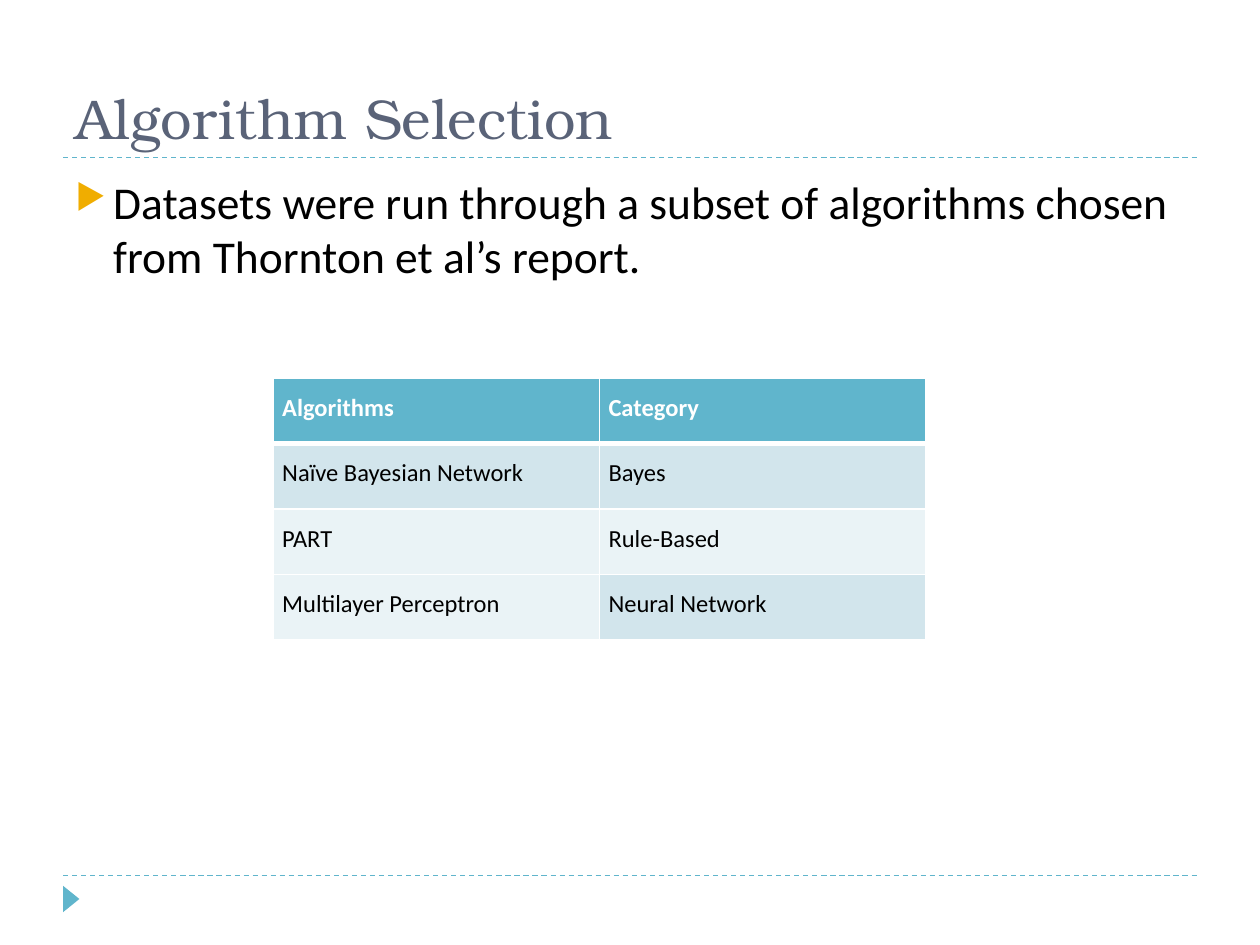
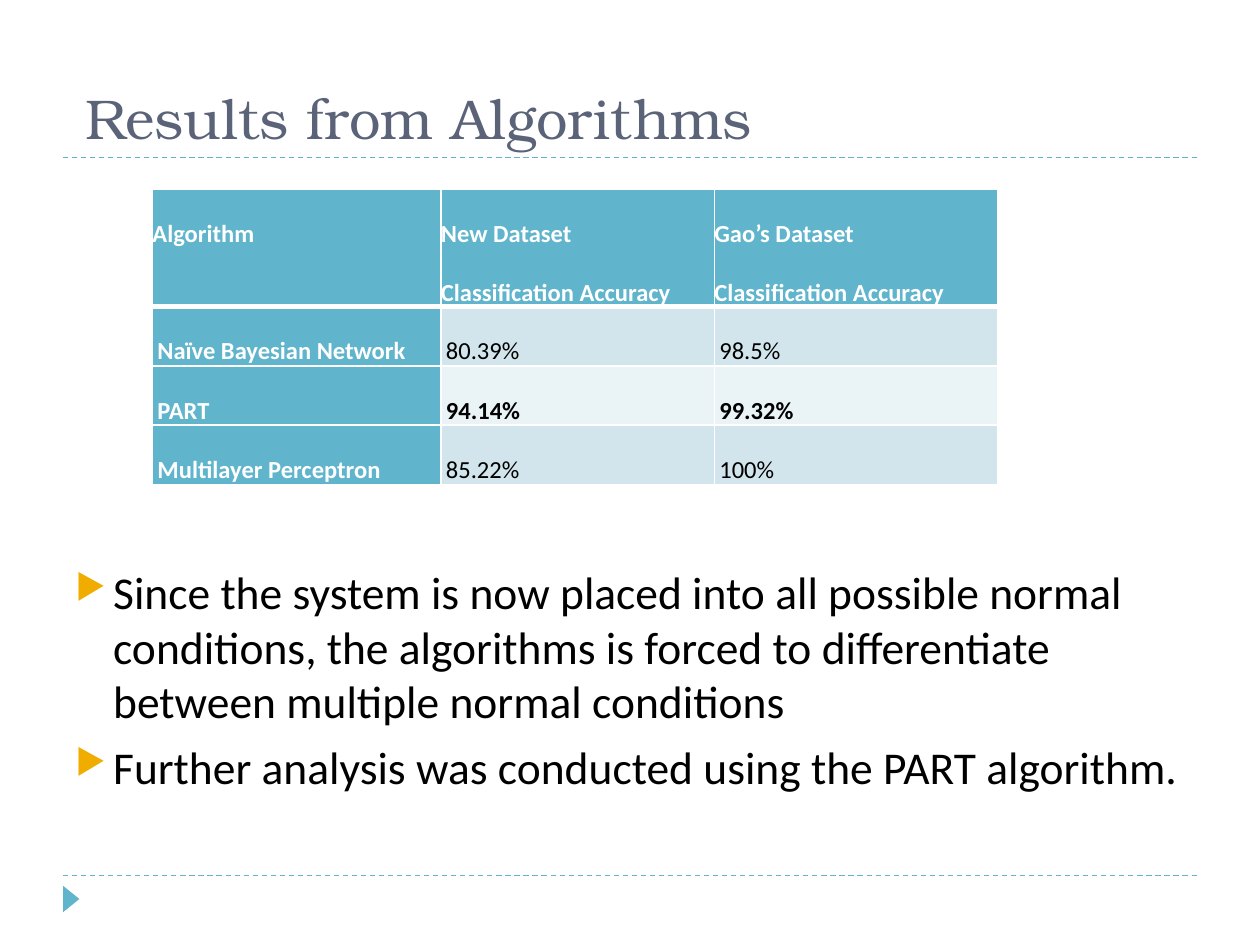
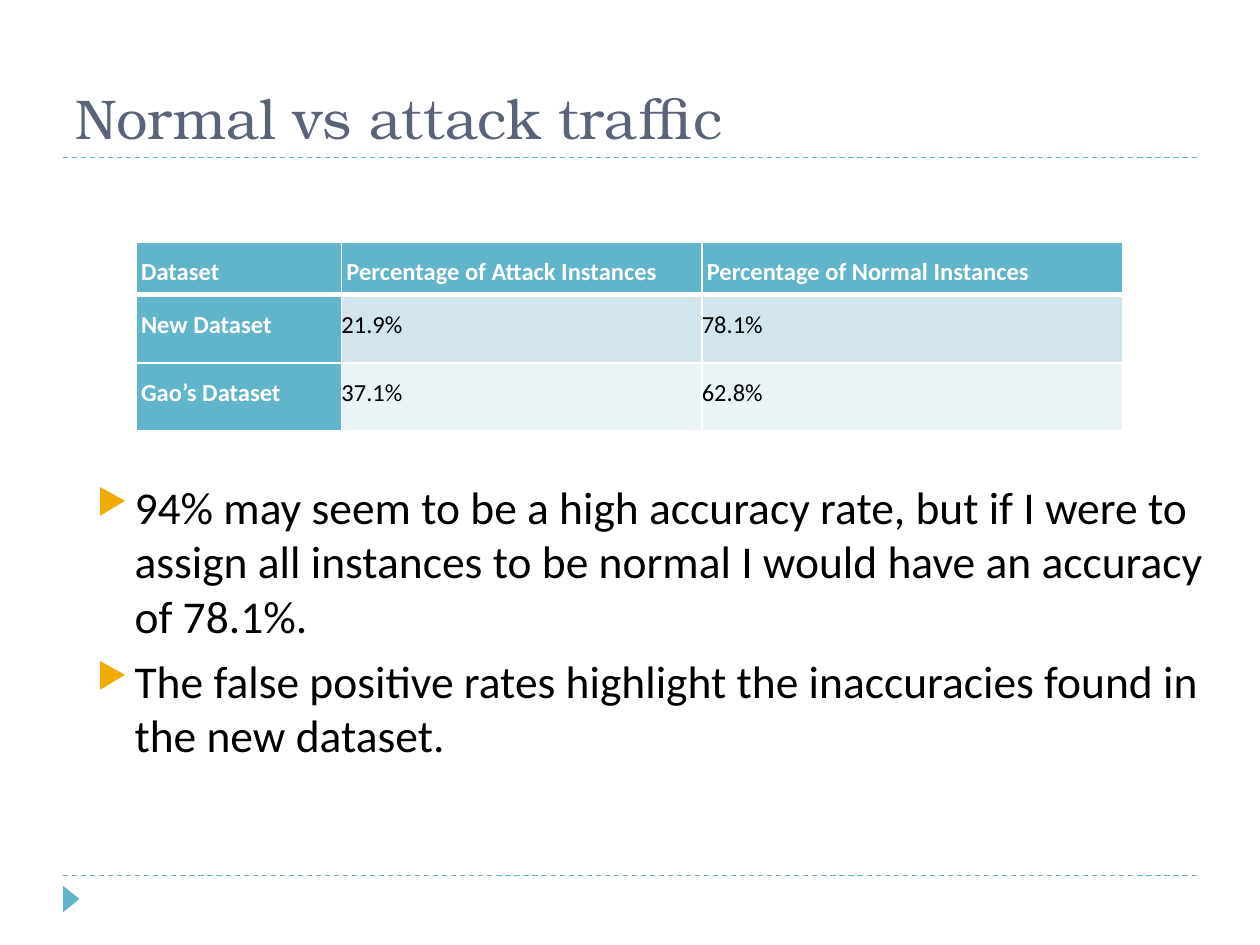
from lxml import etree
from pptx import Presentation
from pptx import util as u
from pptx.dml.color import RGBColor
from pptx.enum import dml, shapes, text
from pptx.oxml import parse_xml
from pptx.oxml.ns import nsdecls, qn

COLORS = {
    "title": "5A6378",
    "accent": "60B5CC",
    "bullet": "F0AD00",
    "band": "D2E5EC",
    "pale_band": "EAF3F6",
    "white": "FFFFFF",
    "black": "000000",
}
TITLE_FONT = {"name": "TeX Gyre Bonum", "size": u.Pt(32), "bold": False}
BODY_FONT = {"name": "Calibri", "size": u.Pt(26)}
CELL_FONT = {"name": "Calibri", "size": u.Pt(14)}
TITLE_FRAME = {
    "vertical_anchor": text.MSO_ANCHOR.BOTTOM,
    "auto_size": text.MSO_AUTO_SIZE.NONE,
    "word_wrap": True,
}
RULE_TOPS = (1.25, 6.95)


def rgb(color):
    return RGBColor.from_string(COLORS[color])


def apply(target, values):
    for attribute, value in values.items():
        setattr(target, attribute, value)


def style_font(font, values, color):
    apply(font, values)
    font.color.rgb = rgb(color)


def place(part, left, top, width, height):
    apply(part, {
        "left": u.Inches(left), "top": u.Inches(top),
        "width": u.Inches(width), "height": u.Inches(height),
    })


def add_rule(slide, top):
    rule = slide.shapes.add_connector(
        shapes.MSO_CONNECTOR.STRAIGHT,
        u.Inches(0.5), u.Inches(top), u.Inches(9.5), u.Inches(top))
    rule.line.color.rgb = rgb("accent")
    apply(rule.line, {"width": u.Pt(0.75), "dash_style": dml.MSO_LINE.DASH})
    etree.SubElement(rule.element.spPr, qn("a:effectLst"))


def add_footer_marker(slide):
    marker = slide.shapes.add_shape(
        shapes.MSO_SHAPE.ISOSCELES_TRIANGLE,
        u.Inches(0.46), u.Inches(7.07), u.Inches(0.21), u.Inches(0.13))
    marker.rotation = 90
    marker.shadow.inherit = False
    marker.fill.solid()
    marker.fill.fore_color.rgb = rgb("accent")
    marker.line.fill.background()


def add_titled_slide(deck, heading, left=0.5):
    slide = deck.slides.add_slide(deck.slide_layouts[5])
    for top in RULE_TOPS:
        add_rule(slide, top)
    add_footer_marker(slide)
    title = slide.shapes.title
    place(title, left, 0.17, 9, 1.08)
    title.text = heading
    apply(title.text_frame, TITLE_FRAME)
    line = title.text_frame.paragraphs[0]
    line.alignment = text.PP_ALIGN.LEFT
    style_font(line.runs[0].font, TITLE_FONT, "title")
    return slide


def add_bullet(paragraph):
    properties = paragraph._p.get_or_add_pPr()
    properties.set("marL", str(u.Inches(0.3)))
    properties.set("indent", str(-u.Inches(0.3)))
    for markup in (
        f'<a:buClr {nsdecls("a")}><a:srgbClr val="{COLORS["bullet"]}"/></a:buClr>',
        f'<a:buSzPct {nsdecls("a")} val="76000"/>',
        f'<a:buChar {nsdecls("a")} char="▶"/>',
    ):
        properties.append(parse_xml(markup))


def add_bullets(slide, points, left, top, height):
    box = slide.shapes.add_textbox(
        u.Inches(left), u.Inches(top), u.Inches(9), u.Inches(height))
    frame = box.text_frame
    frame.word_wrap = True
    frame.text = "\n".join(points)
    for paragraph in frame.paragraphs:
        paragraph.space_before = u.Pt(6)
        add_bullet(paragraph)
        style_font(paragraph.runs[0].font, BODY_FONT, "black")


def set_borders(cell, top, bottom):
    properties = cell._tc.get_or_add_tcPr()
    widths = {"lnL": 1, "lnR": 1, "lnT": top, "lnB": bottom}
    for position, (side, width) in enumerate(widths.items()):
        properties.insert(position, parse_xml(
            f'<a:{side} {nsdecls("a")} w="{u.Pt(width)}"><a:solidFill>'
            f'<a:srgbClr val="{COLORS["white"]}"/></a:solidFill></a:{side}>'))


def fill_cell(cell, words, fill, color, bold, inset, spacing):
    apply(cell, {
        "margin_left": u.Inches(inset), "margin_right": u.Inches(inset),
        "margin_top": 0, "margin_bottom": 0,
    })
    cell.text = words
    for paragraph in cell.text_frame.paragraphs:
        paragraph.line_spacing = spacing
        style_font(paragraph.runs[0].font, {**CELL_FONT, "bold": bold}, color)
    cell.fill.solid()
    cell.fill.fore_color.rgb = rgb(fill)


def add_data_table(slide, rows, left, top, widths, heights, spacing, inset_of,
                   row_headers=True, bold_row=None, fills=None):
    grid = slide.shapes.add_table(
        len(rows), len(widths), u.Inches(left), u.Inches(top),
        u.Inches(sum(widths)), u.Inches(sum(heights))).table
    for column, width in zip(grid.columns, widths):
        column.width = u.Inches(width)
    for r, (row, height) in enumerate(zip(rows, heights)):
        grid.rows[r].height = u.Inches(height)
        for c, words in enumerate(row):
            is_header = r == 0 or (row_headers and c == 0)
            band = "band" if r % 2 else "pale_band"
            fill = "accent" if is_header else (fills or {}).get((r, c), band)
            cell = grid.cell(r, c)
            fill_cell(cell, words, fill, "white" if is_header else "black",
                      is_header or r == bold_row, inset_of(r, c), spacing)
            set_borders(cell, 3 if r == 1 else 1, 3 if r == 0 else 1)


def add_selection_slide(deck):
    slide = add_titled_slide(deck, "Algorithm Selection")
    add_bullets(slide, [
        "Datasets were run through a subset of algorithms chosen from "
        "Thornton et al’s report.",
    ], 0.5, 1.33, 1.2)
    add_data_table(slide, [
        ("Algorithms", "Category"),
        ("Naïve Bayesian Network", "Bayes"),
        ("PART", "Rule-Based"),
        ("Multilayer Perceptron", "Neural Network"),
    ], 2.17, 3, [2.59] * 2, [0.52] * 4, 1.5, lambda r, c: 0.07,
        row_headers=False, fills={(3, 0): "pale_band"})


def add_results_slide(deck):
    slide = add_titled_slide(deck, "Results from Algorithms", left=0.58)
    add_bullets(slide, [
        "Since the system is now placed into all possible normal conditions, "
        "the algorithms is forced to differentiate between multiple normal "
        "conditions",
        "Further analysis was conducted using the PART algorithm.",
    ], 0.5, 4.43, 2.3)
    add_data_table(slide, [
        ("Algorithm", "New Dataset\nClassification Accuracy",
         "Gao’s Dataset\nClassification Accuracy"),
        ("Naïve Bayesian Network", "80.39%", "98.5%"),
        ("PART", "94.14%", "99.32%"),
        ("Multilayer Perceptron", "85.22%", "100%"),
    ], 1.21, 1.5, [2.29, 2.17, 2.25], [0.92] + [0.47] * 3, 2.0,
        lambda r, c: 0.04 if r else 0, bold_row=2)


def add_traffic_slide(deck):
    slide = add_titled_slide(deck, "Normal vs attack traffic")
    add_data_table(slide, [
        ("Dataset", "Percentage of Attack Instances",
         "Percentage of Normal Instances"),
        ("New Dataset", "21.9%", "78.1%"),
        ("Gao’s Dataset", "37.1%", "62.8%"),
    ], 1.08, 1.92, [1.63, 2.86, 3.34], [0.42, 0.54, 0.54], 1.5,
        lambda r, c: 0 if r and c else 0.04)
    add_bullets(slide, [
        "94% may seem to be a high accuracy rate, but if I were to assign all "
        "instances to be normal I would have an accuracy of 78.1%.",
        "The false positive rates highlight the inaccuracies found in the "
        "new dataset.",
    ], 0.67, 3.75, 3.15)


def main():
    deck = Presentation()
    apply(deck, {"slide_width": u.Inches(10), "slide_height": u.Inches(7.5)})
    add_selection_slide(deck)
    add_results_slide(deck)
    add_traffic_slide(deck)
    deck.save("out.pptx")


if __name__ == "__main__":
    main()
